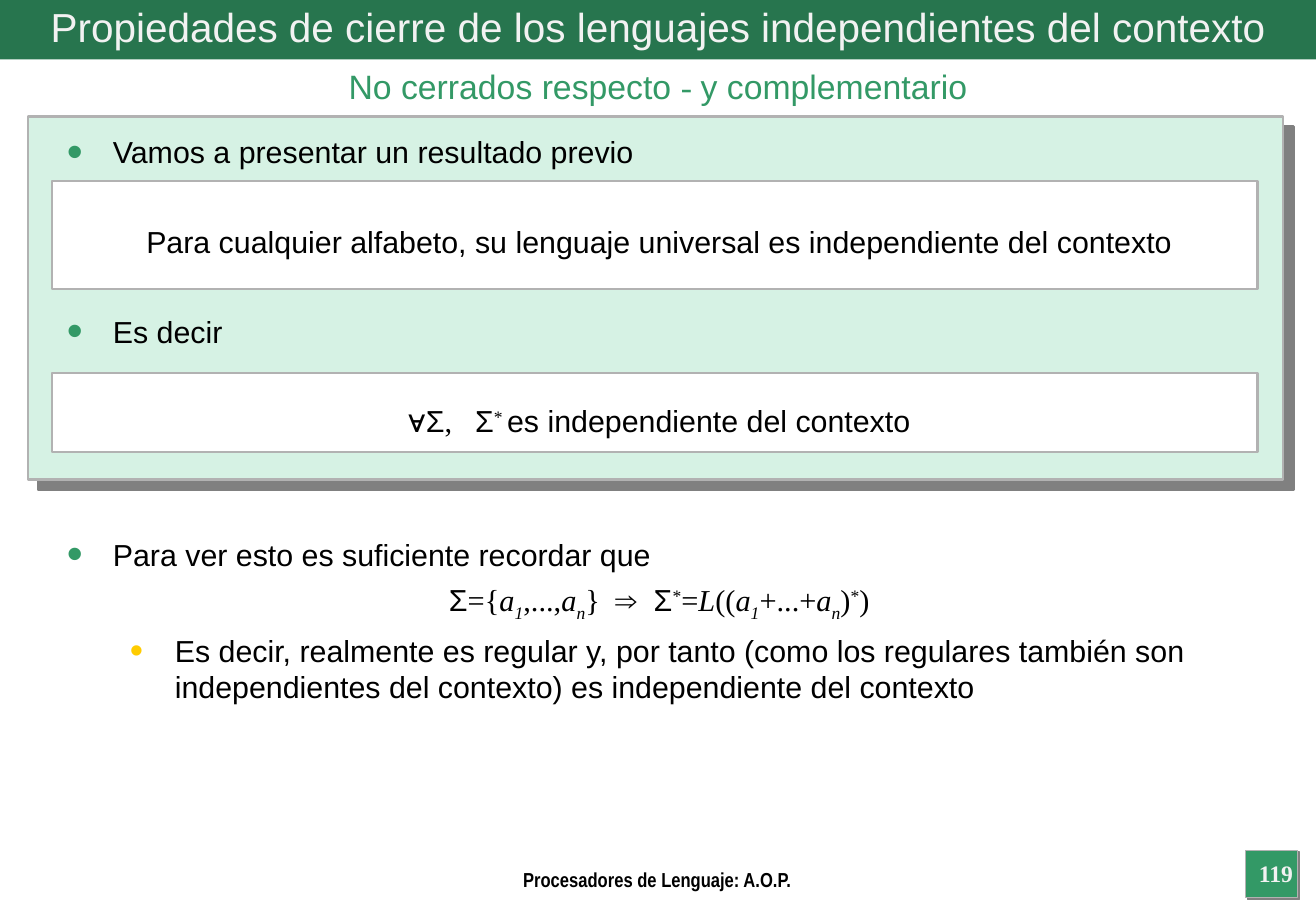
from lxml import etree
from pptx import Presentation
from pptx.dml.color import RGBColor
from pptx.enum.shapes import MSO_SHAPE
from pptx.enum.text import MSO_ANCHOR, MSO_AUTO_SIZE, PP_ALIGN
from pptx.oxml import parse_xml
from pptx.oxml.ns import nsdecls, qn
from pptx.util import Inches, Pt

RECTANGLE = MSO_SHAPE.RECTANGLE
MIDDLE, TOP = MSO_ANCHOR.MIDDLE, MSO_ANCHOR.TOP
NO_FIT = MSO_AUTO_SIZE.NONE
LEFT, CENTER = PP_ALIGN.LEFT, PP_ALIGN.CENTER

GREEN, YELLOW, GRAY = "339966", "FFCC00", "B2B2B2"
BLACK, WHITE, PALE = "000000", "FFFFFF", "F2F2F2"
SANS, SERIF = "Arial", "Times New Roman"
SUPERSCRIPT, SUBSCRIPT = 30, -25


def rgb(hex_string):
    return RGBColor.from_string(hex_string)


def add_span(para, text, size=18, font=SANS, color=BLACK, bold=False,
             italic=False, baseline=0, spacing=0):
    """Add one run; baseline is in percent, letter spacing in points."""
    span = para.add_run()
    span.text = text
    span.font.size = Pt(size)
    span.font.name = font
    span.font.bold = bold
    span.font.italic = italic
    span.font.color.rgb = rgb(color)
    properties = span.font._element
    if baseline:
        properties.set("baseline", str(baseline * 1000))
    if spacing:
        properties.set("spc", str(round(spacing * 100)))


deck = Presentation()
deck.slide_width, deck.slide_height = Inches(10.84), Inches(7.5)
page = deck.slides.add_slide(deck.slide_layouts[1])
title, body = page.shapes.title, page.placeholders[1]

# Panels: left, top, width, height, fill, line width, shadow distance
panels = [
    (10.26, 7, 0.43, 0.39, GREEN, 0.75, 1.4),
    (0, 0, 10.84, 0.49, "27754E", 0, 0),
    (0.23, 0.96, 10.34, 2.99, "D6F2E4", 1.5, 8.5),
    (0.43, 3.07, 9.93, 0.65, WHITE, 1.5, 0),
    (0.43, 1.49, 9.93, 0.89, WHITE, 1.5, 0),
]
for left, top, width, height, fill, line_width, distance in panels:
    panel = page.shapes.add_shape(RECTANGLE, Inches(left), Inches(top),
                                  Inches(width), Inches(height))
    panel.shadow.inherit = False
    panel.fill.solid()
    panel.fill.fore_color.rgb = rgb(fill)
    if line_width:
        panel.line.color.rgb = rgb(GRAY)
        panel.line.width = Pt(line_width)
    else:
        panel.line.fill.background()
    if distance:
        effects = panel.element.spPr.find(qn("a:effectLst"))
        effects.append(parse_xml(
            f'<a:outerShdw {nsdecls("a")} dist="{Pt(distance)}" dir="2700000" '
            'algn="ctr" rotWithShape="0"><a:srgbClr val="808080"/></a:outerShdw>'))

# Placeholders go in front of the panels
for placeholder in (body, title):
    page.shapes.element.append(placeholder.element)

subtitle, footer, number = [
    page.shapes.add_textbox(0, 0, Inches(1), Inches(1)) for _ in range(3)]
frames = [
    (body, 0.45, 1.05, 9.96, 6.06, TOP),
    (title, 0, 0, 10.84, 0.44, MIDDLE),
    (subtitle, 0, 0.49, 10.84, 0.44, TOP),
    (footer, 3.01, 7.09, 4.81, 0.18, TOP),
    (number, 10.24, 7.02, 0.54, 0.35, TOP),
]
for box, left, top, width, height, anchor in frames:
    box.left, box.top = Inches(left), Inches(top)
    box.width, box.height = Inches(width), Inches(height)
    frame = box.text_frame
    frame.word_wrap = True
    frame.auto_size = NO_FIT
    frame.vertical_anchor = anchor
    frame.margin_left = frame.margin_right = Inches(0.1)
    frame.margin_top = frame.margin_bottom = Inches(0.05)
    frame.paragraphs[0].alignment = LEFT if box is body else CENTER

add_span(title.text_frame.paragraphs[0],
         "Propiedades de cierre de los lenguajes independientes del contexto",
         size=24, color=PALE)
for text, font in (("No cerrados respecto ", SANS), ("- ", SERIF),
                   ("y complementario", SANS)):
    add_span(subtitle.text_frame.paragraphs[0], text, 20, font, GREEN)
add_span(footer.text_frame.paragraphs[0], "Procesadores de Lenguaje: A.O.P.",
         size=12, font="Arial Narrow", bold=True)
add_span(number.text_frame.paragraphs[0], "119",
         size=14, font=SERIF, color=PALE, bold=True)

# Run styles used in the formulas
plain = {}
serif = {"font": SERIF}
variable = {"font": SERIF, "italic": True}
index = {**variable, "baseline": SUBSCRIPT}
star = {"font": SERIF, "baseline": SUPERSCRIPT}

universal_language = [
    ("∀Σ", plain), (", ", {**serif, "spacing": 4.5}), ("Σ", plain),
    ("* ", star), ("es independiente del contexto", plain),
]
regular_expression = [
    ("Σ", plain), ("={", serif), ("a", variable), ("1", index),
    (",...,", serif), ("a", variable), ("n", index),
    ("} ", {**serif, "spacing": 2.25}), ("⇒ ", {"spacing": 2.5}),
    ("Σ", plain), ("*", star), ("=", serif), ("L", variable), ("((", serif),
    ("a", variable), ("1", index), ("+...+", serif), ("a", variable),
    ("n", index), (")", serif), ("*", star), (")", serif),
]

# Body lines: level, bullet colour, space before in points, runs
NEAR, APART, FAR = 5.4, 31.5, 57.6
lines = [
    (0, GREEN, 0, [("Vamos a presentar un resultado previo", plain)]),
    (0, None, APART, [("Para cualquier alfabeto, su lenguaje universal es "
                       "independiente del contexto", plain)]),
    (0, GREEN, APART, [("Es decir", plain)]),
    (0, None, APART, universal_language),
    (0, GREEN, FAR, [("Para ver esto es suficiente recordar que", plain)]),
    (0, None, NEAR, regular_expression),
    (1, YELLOW, NEAR, [("Es decir, realmente es regular y, por tanto (como los "
                        "regulares también son independientes del contexto) es "
                        "independiente del contexto", plain)]),
]
for position, (level, bullet, space, spans) in enumerate(lines):
    frame = body.text_frame
    para = frame.add_paragraph() if position else frame.paragraphs[0]
    para.level = level
    para.alignment = LEFT if bullet else CENTER
    properties = para._p.get_or_add_pPr()
    margin, indent = ((0.38, -0.38), (0.89, -0.37))[level]
    properties.set("marL", str(Inches(margin)))
    properties.set("indent", str(Inches(indent)))
    if bullet:
        color = etree.SubElement(properties, qn("a:buClr"))
        etree.SubElement(color, qn("a:srgbClr"), val=bullet)
        etree.SubElement(properties, qn("a:buSzPct"),
                         val="125000" if level else "150000")
        etree.SubElement(properties, qn("a:buFont"), typeface=SANS)
        etree.SubElement(properties, qn("a:buChar"), char="•")
    else:
        etree.SubElement(properties, qn("a:buNone"))
    para.space_before = Pt(space)
    for text, style in spans:
        add_span(para, text, **style)

deck.save("out.pptx")
